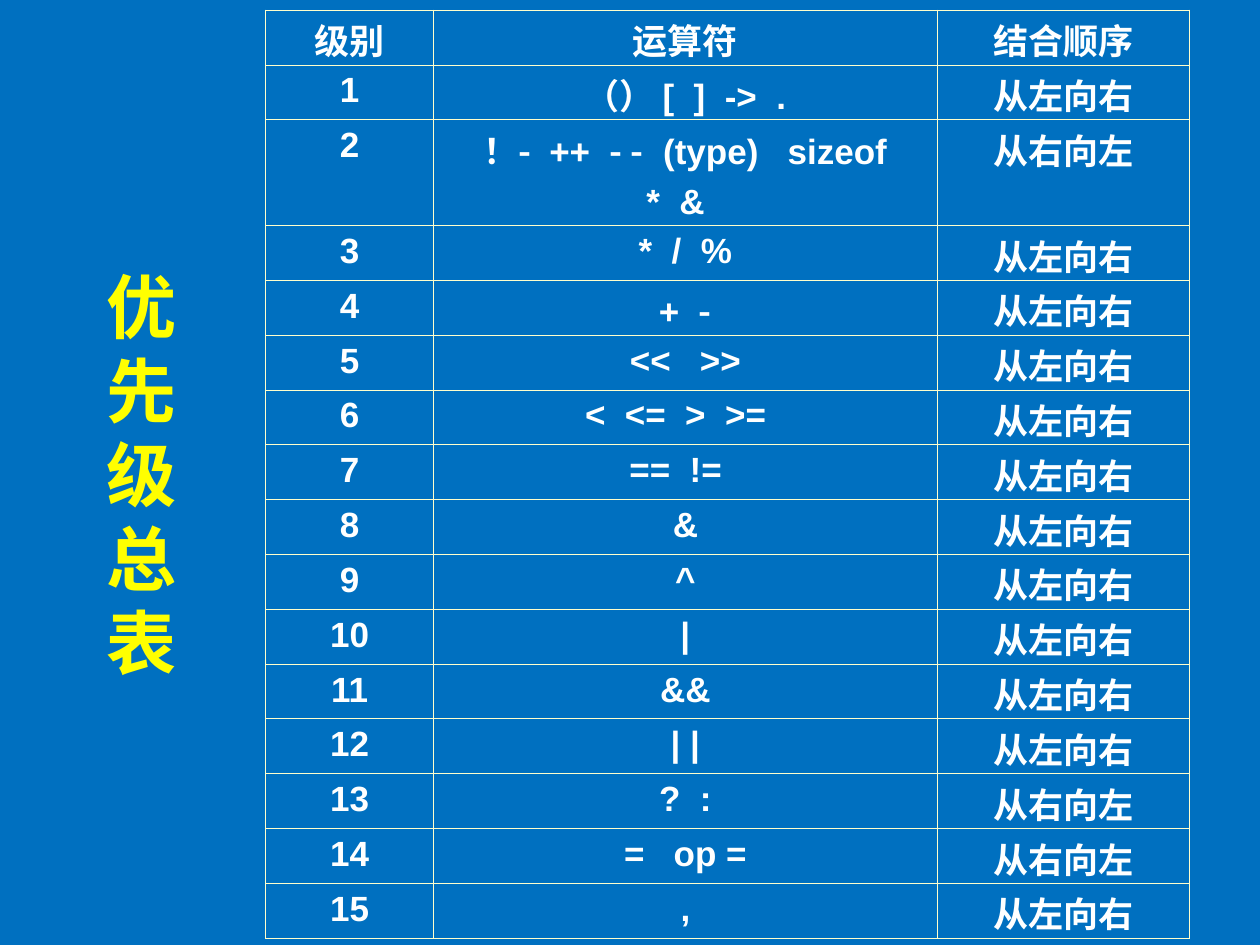
from lxml import etree
from pptx import Presentation
from pptx.dml.color import RGBColor
from pptx.enum import text
from pptx.oxml import ns
from pptx.util import Inches, Pt

BLUE = RGBColor(0x00, 0x70, 0xC0)
WHITE = RGBColor(0xFE, 0xFF, 0xFF)
YELLOW = RGBColor(0xFF, 0xFF, 0x00)
CREAM = RGBColor(0xFF, 0xFF, 0xCC)
LATIN, CJK = "Arial", "Noto Sans CJK SC"
LTR, RTL = "从左向右", "从右向左"

HEADER = ("级别", "运算符", "结合顺序")
# Each operator cell is a list of paragraphs; a paragraph is a list of (text, font) runs
OPERATORS = [
    [[("（） [  ]  ->  .", LATIN)]],
    [[("！", LATIN), ("- ", CJK), (" ++  ", LATIN), ("- -", CJK),
      ("  (type)   sizeof", LATIN)],
     [("*  &  ", LATIN)]],
    [[("*  /  %", LATIN)]],
    [[("+  ", LATIN), ("-", CJK)]],
    *([[(symbols, LATIN)]] for symbols in (
        "<<   >>", "<  <=  >  >=  ", "==  !=  ", "&", "^", "|", "&&",
        "| |", "?  :", "=   op =", ",")),
]
RIGHT_TO_LEFT_LEVELS = (2, 13, 14)

COLUMN_WIDTHS = (1.33, 4, 2)
TABLE_HEIGHT = 7.37
TALL_ROW, TALL_HEIGHT = 2, 0.84
ROW_HEIGHT = (TABLE_HEIGHT - TALL_HEIGHT) / (len(OPERATORS))


def add_run(paragraph, words, font_name, size, color):
    run = paragraph.add_run()
    run.text = words
    font_format = {"name": font_name, "size": Pt(size), "bold": True}
    for attribute, value in font_format.items():
        setattr(run.font, attribute, value)
    run.font.color.rgb = color
    east_asian = etree.SubElement(run._r.get_or_add_rPr(), ns.qn("a:ea"))
    east_asian.set("typeface", CJK)


def add_borders(cell):
    properties = cell._tc.get_or_add_tcPr()
    for position, side in enumerate(("lnL", "lnR", "lnT", "lnB")):
        line = etree.Element(ns.qn(f"a:{side}"), w=str(Pt(0.45)))
        fill = etree.SubElement(line, ns.qn("a:solidFill"))
        etree.SubElement(fill, ns.qn("a:srgbClr"), val=str(CREAM))
        properties.insert(position, line)


def is_cjk(runs):
    return any(font == CJK or any(ord(mark) > 0x2E7F for mark in words)
               for words, font in runs)


def fill_cell(cell, paragraphs):
    # Lines in the taller CJK font sit lower and keep a fixed height
    top, bottom = (0.1, 0) if is_cjk(paragraphs[0]) else (0.05, 0.05)
    cell_format = {"margin_left": Inches(0.1), "margin_right": Inches(0.1),
                   "margin_top": Inches(top), "margin_bottom": Inches(bottom)}
    for attribute, value in cell_format.items():
        setattr(cell, attribute, value)
    cell.fill.background()
    add_borders(cell)
    for index, runs in enumerate(paragraphs):
        frame = cell.text_frame
        paragraph = frame.add_paragraph() if index else frame.paragraphs[0]
        paragraph.alignment = text.PP_ALIGN.CENTER
        if index:
            paragraph.space_before = Pt(5)
        if is_cjk(runs):
            paragraph.line_spacing = Pt(24)
        for words, font in runs:
            add_run(paragraph, words, font, 20, WHITE)


def add_precedence_table(slide):
    rows = [[[[(heading, LATIN)]] for heading in HEADER]]
    for level, operators in enumerate(OPERATORS, start=1):
        order = RTL if level in RIGHT_TO_LEFT_LEVELS else LTR
        rows.append([[[(str(level), LATIN)]], operators, [[(order, LATIN)]]])

    table = slide.shapes.add_table(
        len(rows), len(HEADER), Inches(2.11), Inches(0.08),
        Inches(sum(COLUMN_WIDTHS)), Inches(TABLE_HEIGHT)).table
    table.first_row = table.horz_banding = False
    for column, width in zip(table.columns, COLUMN_WIDTHS):
        column.width = Inches(width)
    for index, contents in enumerate(rows):
        height = TALL_HEIGHT if index == TALL_ROW else ROW_HEIGHT
        table.rows[index].height = Inches(height)
        for cell, paragraphs in zip(table.rows[index].cells, contents):
            fill_cell(cell, paragraphs)


def add_title(slide):
    # The narrow box wraps after every character
    frame = slide.shapes.add_textbox(
        Inches(0.75), Inches(0.67), Inches(0.5), Inches(6.17)).text_frame
    frame.word_wrap = True
    frame.vertical_anchor = text.MSO_ANCHOR.MIDDLE
    paragraph = frame.paragraphs[0]
    paragraph.alignment = text.PP_ALIGN.CENTER
    paragraph.line_spacing = Pt(48)
    add_run(paragraph, "优先级总表", CJK, 40, YELLOW)


def main():
    deck = Presentation()
    deck.slide_width, deck.slide_height = Inches(10), Inches(7.5)
    slide = deck.slides.add_slide(deck.slide_layouts[6])
    slide.background.fill.solid()
    slide.background.fill.fore_color.rgb = BLUE
    add_precedence_table(slide)
    add_title(slide)
    deck.save("out.pptx")


if __name__ == "__main__":
    main()
